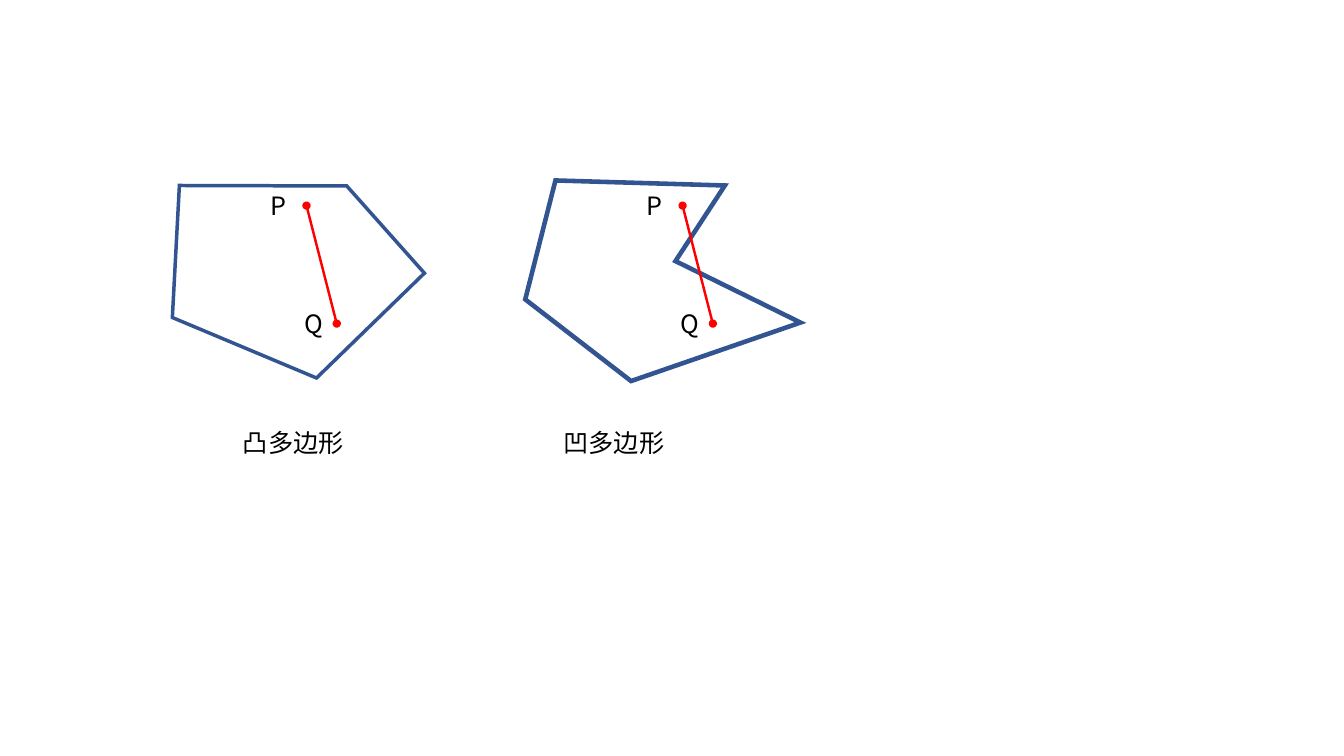
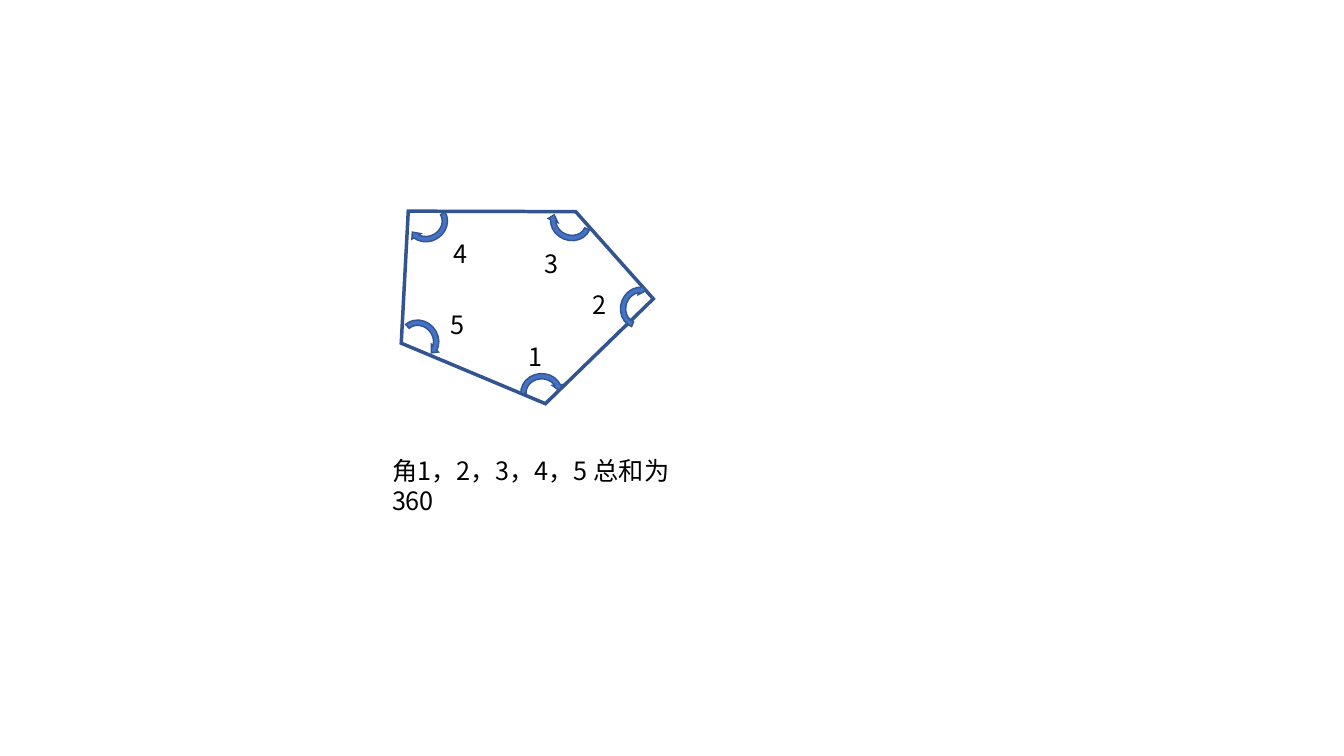
from lxml import etree
from pptx import Presentation
from pptx.dml.color import RGBColor
from pptx.enum.shapes import MSO_CONNECTOR, MSO_SHAPE
from pptx.enum.text import MSO_AUTO_SIZE
from pptx.oxml.ns import qn
from pptx.util import Inches, Pt

STRAIGHT = MSO_CONNECTOR.STRAIGHT
ARC_ARROW = MSO_SHAPE.CIRCULAR_ARROW
FIT_SHAPE = MSO_AUTO_SIZE.SHAPE_TO_FIT_TEXT

BLUE = RGBColor(0x44, 0x72, 0xC4)
NAVY = RGBColor(0x32, 0x54, 0x91)
RED = RGBColor(0xFF, 0x00, 0x00)
BLACK = RGBColor(0x00, 0x00, 0x00)

CONVEX = [(1.78, 1.84), (3.44, 1.845), (4.21, 2.71), (3.14, 3.75), (1.71, 3.15)]
CONCAVE = [(5.51, 1.79), (7.19, 1.84), (6.7, 2.59), (7.94, 3.2), (6.26, 3.78), (5.21, 2.97)]


class Deck:
    """Draw geometry figures in one style on the current slide."""

    font = "Noto Sans CJK SC"
    text_format = {"name": font, "size": Pt(18)}

    def __init__(self):
        self.prs = Presentation()
        self.prs.slide_width, self.prs.slide_height = Inches(13.33), Inches(7.5)

    def slide(self):
        self.s = self.prs.slides.add_slide(self.prs.slide_layouts[6])

    def outline(self, sp, color, width):
        sp.line.color.rgb = color
        sp.line.width = Pt(width)
        ln = sp._element.spPr.find(qn("a:ln"))
        etree.SubElement(ln, qn("a:miter"), lim="800000")
        return ln

    def polygon(self, points, width=2.5, dx=0, dy=0):
        (x, y), *rest = [(Inches(px + dx), Inches(py + dy)) for px, py in points]
        builder = self.s.shapes.build_freeform(x, y)
        builder.add_line_segments(rest, close=True)
        sp = builder.convert_to_shape()
        sp.shadow.inherit = False
        sp.fill.background()
        self.outline(sp, NAVY, width)

    def segment(self, x1, y1, x2, y2):
        sp = self.s.shapes.add_connector(STRAIGHT, *map(Inches, (x1, y1, x2, y2)))
        ln = self.outline(sp, RED, 1.75)
        for end in ("a:headEnd", "a:tailEnd"):
            etree.SubElement(ln, qn(end), type="oval")
        etree.SubElement(sp._element.spPr, qn("a:effectLst"))

    def angle(self, x, y, rotation):
        sp = self.s.shapes.add_shape(ARC_ARROW, *map(Inches, (x, y, 0.46, 0.42)))
        sp.rotation = rotation
        sp.shadow.inherit = False
        sp.fill.solid()
        sp.fill.fore_color.rgb = BLUE
        self.outline(sp, NAVY, 1)

    def text(self, text, x, y, w=0.34, wrap=False):
        tf = self.s.shapes.add_textbox(*map(Inches, (x, y, w, 0.4))).text_frame
        tf.word_wrap = wrap
        tf.auto_size = FIT_SHAPE
        r = tf.paragraphs[0].add_run()
        r.text = text
        for name, value in self.text_format.items():
            setattr(r.font, name, value)
        r.font.color.rgb = BLACK
        etree.SubElement(r._r.get_or_add_rPr(), qn("a:ea"), typeface=self.font)

    def chord(self, x):
        self.segment(x, 2.04, x + 0.3, 3.21)
        self.text("P", x - 0.46, 1.84)
        self.text("Q", x - 0.12, 3.01, 0.39)


deck = Deck()

deck.slide()
for points, width, chord_x, caption, caption_x in [
    (CONCAVE, 3.25, 6.77, "凹多边形", 5.49),
    (CONVEX, 2.5, 3.04, "凸多边形", 2.31),
]:
    deck.polygon(points, width)
    deck.chord(chord_x)
    deck.text(caption, caption_x, 4.19, 1.21)

deck.slide()
deck.polygon(CONVEX, dx=2.27, dy=0.255)
for number, arrow, label in [
    ("1", (5.14, 3.68, 355), (5.14, 3.34)),
    ("2", (6.11, 2.84, 291.5), (5.78, 2.82)),
    ("3", (5.43, 1.99, 203.1), (5.3, 2.41)),
    ("4", (4.01, 2, 148.4), (4.4, 2.32)),
    ("5", (3.93, 3.16, 47.8), (4.37, 3.02)),
]:
    deck.angle(*arrow)
    deck.text(number, *label)
deck.text("角1，2，3，4，5 总和为360", 3.79, 4.47, 3.36, wrap=True)

deck.prs.save("out.pptx")
